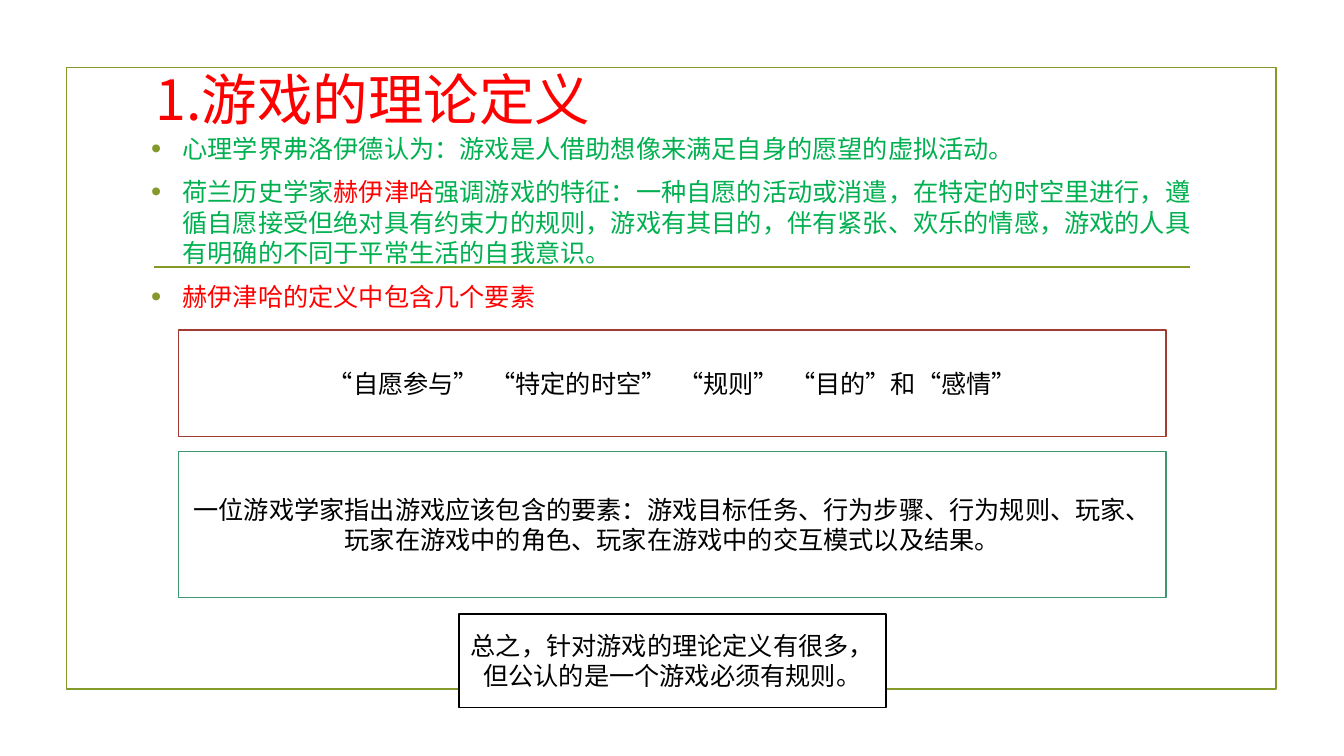
from lxml.etree import SubElement as Sub
from pptx import Presentation
from pptx.dml.color import RGBColor as Rgb
from pptx.enum.lang import MSO_LANGUAGE_ID as Lang
from pptx.enum.shapes import MSO_CONNECTOR as Link, MSO_SHAPE as Kind
from pptx.enum.text import MSO_ANCHOR as Anchor, MSO_AUTO_SIZE as Fit, PP_ALIGN as Align
from pptx.oxml.ns import qn
from pptx.util import Cm, Pt

HAN = "Noto Sans CJK SC"
OLIVE, RED, GREEN, BLACK = "83992A", "FF0000", "00B050", "000000"

POINTS = [
    [("心理学界弗洛伊德认为：游戏是人借助想像来满足自身的愿望的虚拟活动。", GREEN)],
    [("荷兰历史学家", GREEN), ("赫伊津哈", RED),
     ("强调游戏的特征：一种自愿的活动或消遣，在特定的时空里进行，遵循自愿接受但绝对具有约束力的规则，"
      "游戏有其目的，伴有紧张、欢乐的情感，游戏的人具有明确的不同于平常生活的自我意识。", GREEN)],
    [("赫伊津哈的定义中包含几个要素", RED)],
]

# Kind, left, top, width, height (cm), line colour, text
BOXES = [
    (Kind.FLOWCHART_PROCESS, 4.5, 8.31, 24.89, 2.69, "A23C33",
     "“自愿参与”  “特定的时空”  “规则”  “目的”和“感情”"),
    (Kind.FLOWCHART_PROCESS, 4.5, 11.38, 24.89, 3.68, "3C9770",
     "一位游戏学家指出游戏应该包含的要素：游戏目标任务、行为步骤、行为规则、玩家、"
     "玩家在游戏中的角色、玩家在游戏中的交互模式以及结果。"),
    (Kind.RECTANGLE, 11.56, 15.47, 10.77, 2.36, BLACK,
     "总之，针对游戏的理论定义有很多，但公认的是一个游戏必须有规则。"),
]


def color(code):
    return Rgb.from_string(code)


def style(run, size, code, face=HAN):
    font = run.font
    font.size, font.name = Pt(size), face
    font.color.rgb = color(code)
    font.language_id = Lang.SIMPLIFIED_CHINESE
    Sub(run._r.get_or_add_rPr(), qn("a:ea")).set("typeface", HAN)


def center(frame, text, size, code, face=HAN):
    frame.word_wrap, frame.auto_size = True, Fit.NONE
    frame.vertical_anchor = Anchor.MIDDLE
    frame.text = text
    para = frame.paragraphs[0]
    para.alignment = Align.CENTER
    style(para.runs[0], size, code, face)


def outline(shape, code):
    shape.line.color.rgb = color(code)
    shape.line.width = Pt(1.25)


def box(slide, kind, left, top, wide, high, edge, text=None):
    shape = slide.shapes.add_shape(kind, Cm(left), Cm(top), Cm(wide), Cm(high))
    shape.shadow.inherit = False
    outline(shape, edge)
    if text is None:
        shape.fill.background()
        return
    shape.fill.solid()
    shape.fill.fore_color.rgb = color("FFFFFF")
    center(shape.text_frame, text, 18, BLACK, "Arial")


def rule(slide, left, right, top):
    line = slide.shapes.add_connector(
        Link.STRAIGHT, Cm(left), Cm(top), Cm(right), Cm(top))
    outline(line, OLIVE)
    Sub(line._element.spPr, qn("a:effectLst"))


def title(slide, text):
    shape = slide.shapes.title
    shape.left, shape.top = Cm(1.09), Cm(2.13)
    shape.width, shape.height = Cm(16.61), Cm(0.69)
    center(shape.text_frame, text, 39.6, RED)


def bullet(para):
    para.space_before, para.space_after = Pt(3.6), Pt(6)
    props = para._p.get_or_add_pPr()
    props.set("marL", str(Cm(0.79)))
    props.set("indent", str(Cm(-0.79)))
    Sub(Sub(props, qn("a:buClr")), qn("a:srgbClr")).set("val", OLIVE)
    Sub(props, qn("a:buSzPct")).set("val", "115000")
    Sub(props, qn("a:buFont")).set("typeface", "Arial")
    Sub(props, qn("a:buChar")).set("char", "•")


def points(slide, items):
    frame = slide.shapes.add_textbox(
        Cm(3.56), Cm(3.23), Cm(26.75), Cm(12.57)).text_frame
    frame.word_wrap = True
    for i, parts in enumerate(items):
        para = frame.add_paragraph() if i else frame.paragraphs[0]
        bullet(para)
        for text, code in parts:
            run = para.add_run()
            run.text = text
            style(run, 18, code)


def main():
    deck = Presentation()
    deck.slide_width, deck.slide_height = Cm(33.87), Cm(19.05)
    slide = deck.slides.add_slide(deck.slide_layouts[5])

    # Frame and divider
    box(slide, Kind.RECTANGLE, 1.68, 1.7, 30.48, 15.67, OLIVE)
    rule(slide, 3.89, 30, 6.73)

    # Heading and bullet points
    title(slide, "1.游戏的理论定义")
    points(slide, POINTS)

    # Boxed statements
    for item in BOXES:
        box(slide, *item)

    deck.save("out.pptx")


if __name__ == "__main__":
    main()
